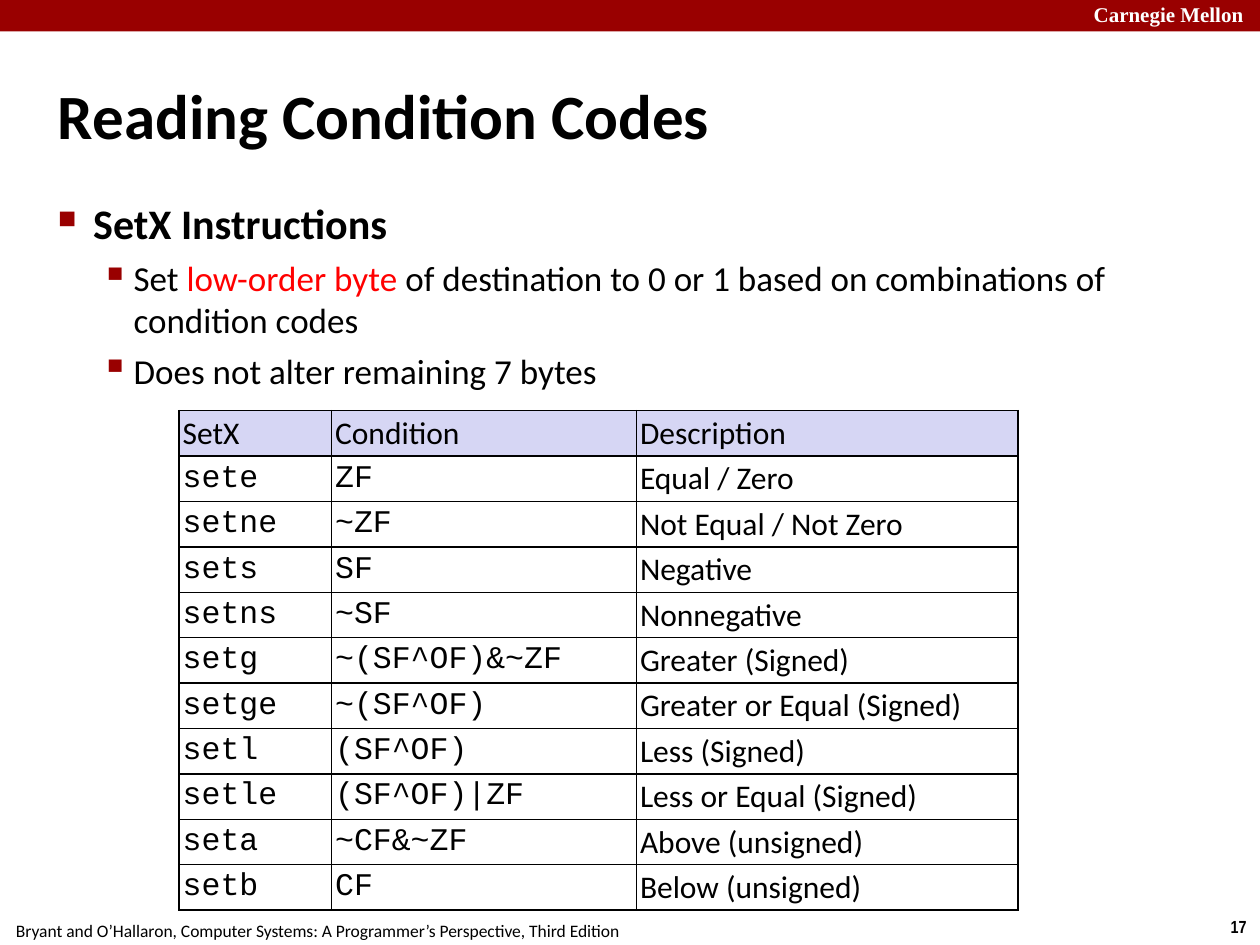
from lxml.etree import SubElement
from pptx import Presentation
from pptx.dml.color import RGBColor
from pptx.enum.shapes import MSO_SHAPE
from pptx.enum.text import MSO_ANCHOR, PP_ALIGN
from pptx.oxml.ns import qn
from pptx.util import Inches, Pt

COLORS = {"black": "000000", "white": "FFFFFF", "crimson": "990000",
          "red": "FF0000", "lavender": "D6D6F4"}
SIDES = ("left", "top", "right", "bottom")


def add_span(para, text, size, font="Calibri", color="black", bold=False):
    span = para.add_run()
    span.text = text
    for name, value in {"size": Pt(size), "name": font, "bold": bold}.items():
        setattr(span.font, name, value)
    span.font.color.rgb = RGBColor.from_string(COLORS[color])


def set_frame(owner, inset, anchor):
    """Set equal margins and the vertical anchor of a text frame or table cell."""
    for side in SIDES:
        setattr(owner, f"margin_{side}", Inches(inset))
    owner.vertical_anchor = anchor


deck = Presentation()
deck.slide_width, deck.slide_height = Inches(10), Inches(7.5)
page = deck.slides.add_slide(deck.slide_layouts[5])

# Header band
band = page.shapes.add_shape(MSO_SHAPE.RECTANGLE, 0, 0, Inches(10), Inches(0.25))
band.shadow.inherit = False
band.fill.solid()
band.fill.fore_color.rgb = RGBColor.from_string(COLORS["crimson"])
band.line.fill.background()

header = page.shapes.add_textbox(Inches(8.64), Inches(-0.03), Inches(1.44), Inches(0.28))
header.text_frame.word_wrap = True
set_frame(header.text_frame, 0.04, MSO_ANCHOR.TOP)
add_span(header.text_frame.paragraphs[0], "Carnegie Mellon", 12,
         "Times New Roman", "white", True)

# Footer and page number
for left, width, text, font, bold in [
    (9.66, 0.34, "17", "Arial Narrow", True),
    (-0.02, 5.08, "Bryant and O’Hallaron, Computer Systems: "
     "A Programmer’s Perspective, Third Edition", "Calibri", False),
]:
    top = 7.22 if bold else 7.25
    footer = page.shapes.add_textbox(Inches(left), Inches(top), Inches(width), Inches(0.27))
    footer.text_frame.word_wrap = False
    para = footer.text_frame.paragraphs[0]
    para.alignment = PP_ALIGN.CENTER
    add_span(para, text, 10, font, bold=bold)

# Title
title = page.shapes.title
title.left, title.top, title.width, title.height = map(Inches, (0.42, 0.28, 9.17, 1.25))
set_frame(title.text_frame, 0.04, MSO_ANCHOR.MIDDLE)
para = title.text_frame.paragraphs[0]
para.alignment = PP_ALIGN.LEFT
add_span(para, "Reading Condition Codes", 36, bold=True)

# Bulleted text
body = page.shapes.add_textbox(Inches(0.42), Inches(1.53), Inches(9.17), Inches(5.94))
frame = body.text_frame
frame.word_wrap = True
set_frame(frame, 0.04, MSO_ANCHOR.TOP)
LEVELS = [
    {"indent": 0.28, "hanging": 0.28, "bullet": "■", "percent": 60, "size": 24, "bold": True},
    {"indent": 0.6, "hanging": 0.26, "bullet": "▪", "percent": 110, "size": 20, "bold": False},
]
points = [
    (0, [("SetX Instructions", "black")]),
    (1, [("Set ", "black"), ("low-order byte ", "red"),
         ("of destination to 0 or 1 based on combinations of condition codes", "black")]),
    (1, [("Does not alter remaining 7 bytes", "black")]),
]
for index, (level, spans) in enumerate(points):
    look = LEVELS[level]
    para = frame.add_paragraph() if index else frame.paragraphs[0]
    para.level = level
    properties = para._p.get_or_add_pPr()
    properties.set("marL", str(Inches(look["indent"])))
    properties.set("indent", str(-Inches(look["hanging"])))
    bullet_color = SubElement(properties, qn("a:buClr"))
    SubElement(bullet_color, qn("a:srgbClr"), val=COLORS["crimson"])
    SubElement(properties, qn("a:buSzPct"), val=str(look["percent"] * 1000))
    SubElement(properties, qn("a:buChar"), char=look["bullet"])
    if index:
        para.space_before = Pt(5)
    for text, color in spans:
        add_span(para, text, look["size"], color=color, bold=look["bold"])

# Table of set instructions
rows = [
    ("SetX", "Condition", "Description"),
    ("sete", "ZF", "Equal / Zero"),
    ("setne", "~ZF", "Not Equal / Not Zero"),
    ("sets", "SF", "Negative"),
    ("setns", "~SF", "Nonnegative"),
    ("setg", "~(SF^OF)&~ZF", "Greater (Signed)"),
    ("setge", "~(SF^OF)", "Greater or Equal (Signed)"),
    ("setl", "(SF^OF)", "Less (Signed)"),
    ("setle", "(SF^OF)|ZF", "Less or Equal (Signed)"),
    ("seta", "~CF&~ZF", "Above (unsigned)"),
    ("setb", "CF", "Below (unsigned)"),
]
table = page.shapes.add_table(len(rows), 3, Inches(1.42), Inches(3.26),
                              Inches(6.66), Inches(3.91)).table
table.first_row = table.horz_banding = False
for column, width in zip(table.columns, (1.21, 2.42, 3.03)):
    column.width = Inches(width)
for row_index, row in enumerate(rows):
    for column_index, text in enumerate(row):
        cell = table.cell(row_index, column_index)
        set_frame(cell, 0.03, MSO_ANCHOR.MIDDLE)
        is_code = row_index > 0 and column_index < 2
        add_span(cell.text_frame.paragraphs[0], text, 18,
                 "Courier New" if is_code else "Calibri")
        properties = cell._tc.get_or_add_tcPr()
        for edge in ("L", "R", "T", "B"):
            border = SubElement(properties, qn(f"a:ln{edge}"), w=str(Pt(1)))
            border_fill = SubElement(border, qn("a:solidFill"))
            SubElement(border_fill, qn("a:srgbClr"), val=COLORS["black"])
        if row_index == 0:
            cell.fill.solid()
            cell.fill.fore_color.rgb = RGBColor.from_string(COLORS["lavender"])
        else:
            cell.fill.background()

deck.save("out.pptx")
